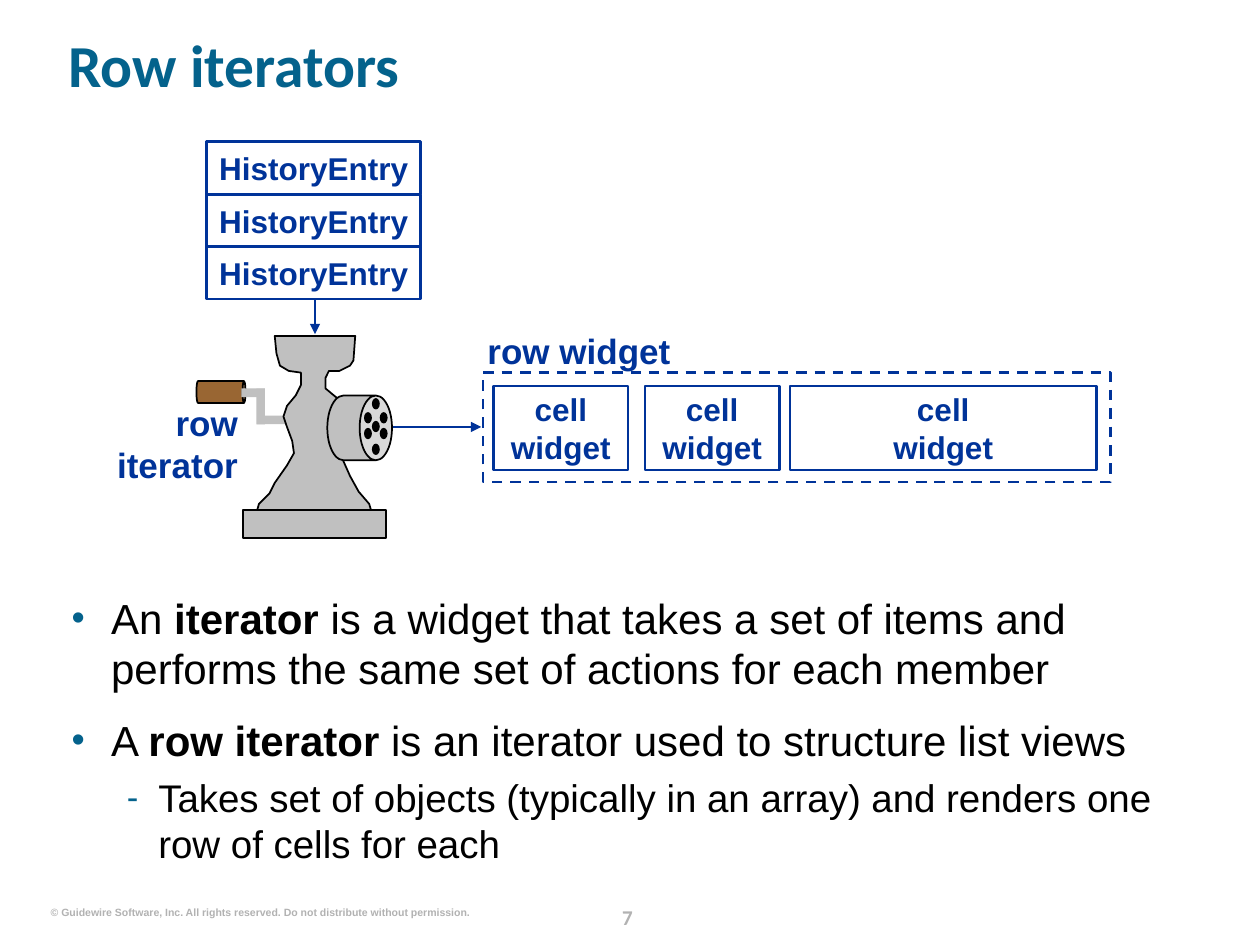
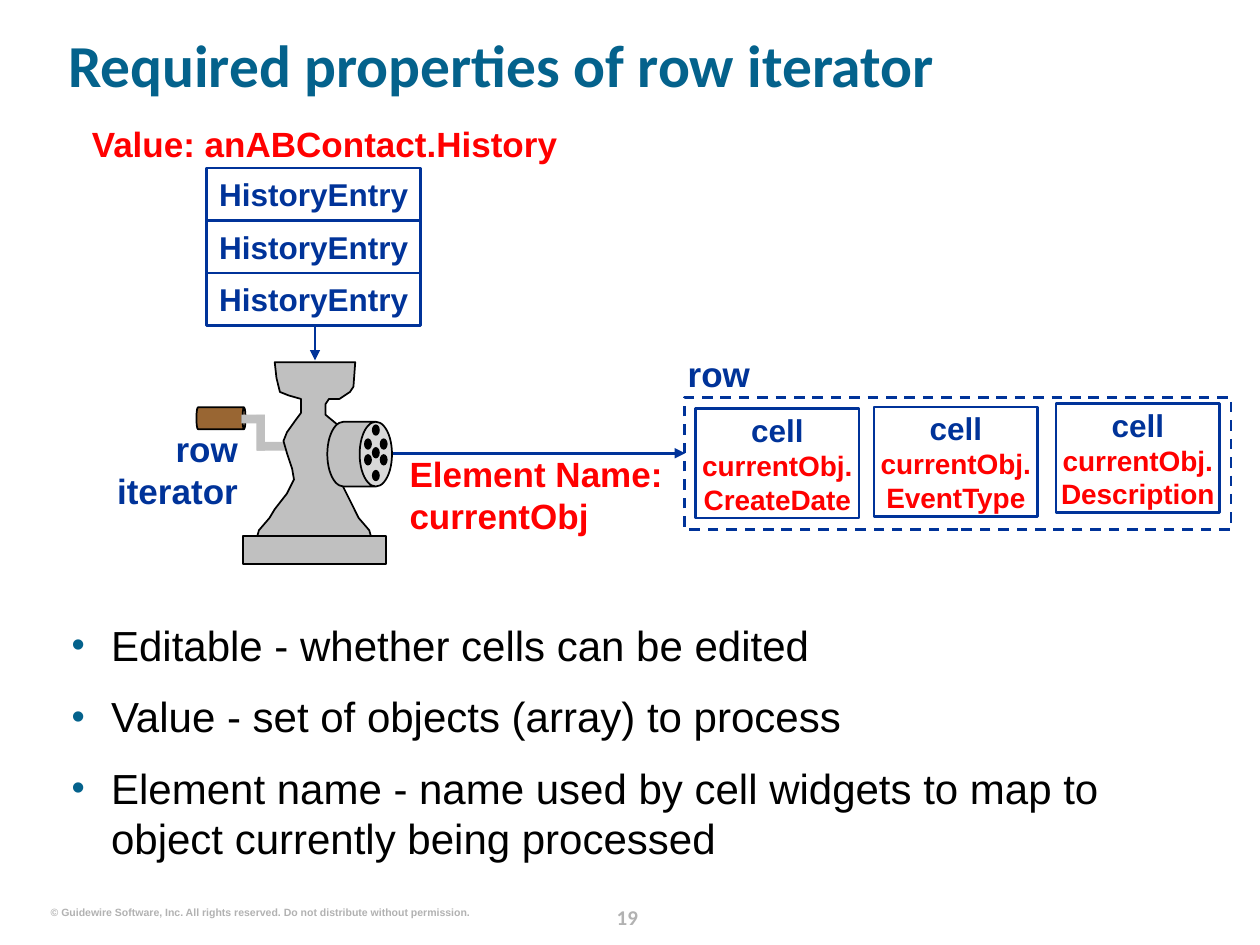
from copy import deepcopy
from itertools import product

from lxml.etree import SubElement
from pptx import Presentation
from pptx.dml.color import RGBColor
from pptx.enum.dml import MSO_LINE
from pptx.enum.shapes import MSO_CONNECTOR, MSO_SHAPE as Preset
from pptx.enum.text import MSO_ANCHOR as Anchor, PP_ALIGN as Align
from pptx.oxml.ns import qn
from pptx.util import Pt

TEAL = RGBColor(0x04, 0x62, 0x8C)
NAVY = RGBColor(0x00, 0x33, 0x99)
RED = RGBColor(0xFF, 0x00, 0x00)
BLACK = RGBColor(0x00, 0x00, 0x00)
WHITE = RGBColor(0xFF, 0xFF, 0xFF)
SILVER = RGBColor(0xC0, 0xC0, 0xC0)
GRAY = RGBColor(0xB2, 0xB2, 0xB2)
BROWN = RGBColor(0x99, 0x66, 0x33)


def style(size, color, bold=True, name="Arial"):
    return {"size": Pt(size), "bold": bold, "name": name, "color": color}


TITLE = style(34, TEAL, name="Calibri")
PAGE = style(12, GRAY, name="Calibri")
COPYRIGHT = style(6, GRAY)
LABEL = style(20, NAVY)
RED_LABEL = style(20, RED)
BOXED = style(18, NAVY)
FIELD = style(16, RED)

LEVELS = [
    {"char": "•", "size": 24, "margin": 22.5, "hang": 22.5, "before": 12},
    {"char": "-", "size": 22, "margin": 49.5, "hang": 18, "before": 5.5},
]

GRINDER_BODY = [
    (188.5, 212.5), (194.5, 212.5), (199.5, 209), (201.5, 206), (203, 192),
    (157, 192), (157.5, 201.5), (160, 209), (165, 211.5), (171.5, 213),
    (171.5, 220.5), (169, 225.5), (163.5, 232), (161.5, 237.5), (163.5, 244),
    (167, 252.5), (168, 259), (164, 266.5), (157, 276), (153.5, 281.5),
    (148.5, 288), (145.5, 295), (213, 295), (211, 288), (205, 281),
    (199.5, 271.5), (196, 263), (195, 255.5), (198.5, 249), (198.5, 239),
    (196, 231), (192, 227), (186.5, 222), (186.5, 216),
]


def apply(target, formats):
    for attribute, value in formats.items():
        setattr(target, attribute, value)


def write(paragraph, runs):
    for text, formats in runs:
        for number, line in enumerate(text.split("\n")):
            if number:
                paragraph.add_line_break()
            if not line:
                continue
            run = paragraph.add_run()
            run.text = line
            apply(run.font, {k: v for k, v in formats.items() if k != "color"})
            run.font.color.rgb = formats["color"]
    for line_break in paragraph._p.findall(qn("a:br")):
        line_break.append(deepcopy(line_break.getprevious().find(qn("a:rPr"))))


def prepare(frame, wrap=True, anchor=Anchor.TOP):
    apply(frame, {"margin_left": 0, "margin_right": 0, "margin_top": 0,
                  "margin_bottom": 0, "word_wrap": wrap,
                  "vertical_anchor": anchor})
    return frame


def label(slide, box, text, formats, align=Align.LEFT, spacing=None, **frame_options):
    frame = prepare(slide.shapes.add_textbox(*map(Pt, box)).text_frame, **frame_options)
    paragraph = frame.paragraphs[0]
    apply(paragraph, {"alignment": align, "line_spacing": spacing})
    write(paragraph, [(text, formats)])


def paint(shape, fill=None, line=None, width=1):
    shape.shadow.inherit = False
    if fill is None:
        shape.fill.background()
    else:
        shape.fill.solid()
        shape.fill.fore_color.rgb = fill
    if line is None:
        shape.line.fill.background()
    else:
        shape.line.color.rgb = line
        shape.line.width = Pt(width)
    return shape


def solid(shapes, preset, box, fill, line=None):
    return paint(shapes.add_shape(preset, *map(Pt, box)), fill, line)


def boxed(slide, box, runs):
    shape = paint(slide.shapes.add_shape(Preset.RECTANGLE, *map(Pt, box)), None, NAVY, 1.5)
    paragraph = prepare(shape.text_frame, False, Anchor.MIDDLE).paragraphs[0]
    paragraph.alignment = Align.CENTER
    write(paragraph, runs)


def dashed_row(slide, box):
    row = slide.shapes.add_shape(Preset.RECTANGLE, *map(Pt, box))
    paint(row, WHITE, NAVY, 1.5).line.dash_style = MSO_LINE.DASH


def arrow(slide, *ends):
    connector = slide.shapes.add_connector(MSO_CONNECTOR.STRAIGHT, *map(Pt, ends))
    connector.line.color.rgb = NAVY
    connector.line.width = Pt(1.5)
    SubElement(connector.line._get_or_add_ln(), qn("a:tailEnd"), type="triangle")
    SubElement(connector._element.spPr, qn("a:effectLst"))


def can(shapes, box, depth, fill):
    shape = solid(shapes, Preset.CAN, box, fill, BLACK)
    shape.rotation = 90
    shape.adjustments[0] = depth


def grinder(slide, drop):
    shapes = slide.shapes.add_group_shape().shapes
    can(shapes, (120, 210 + drop, 12.5, 28), 0.135, BROWN)
    for left, top, width, height in [(147, 237.5, 16, 5), (146.5, 222, 5, 20.5),
                                     (138, 222, 13.5, 5)]:
        solid(shapes, Preset.RECTANGLE, (left, top + drop, width, height), SILVER)
    outline = [(x, y + drop) for x, y in GRINDER_BODY]
    builder = shapes.build_freeform(*outline[0], scale=Pt(1))
    builder.add_line_segments(outline[1:], close=True)
    paint(builder.convert_to_shape(), SILVER, BLACK)
    can(shapes, (187, 226 + drop, 37, 37), 0.5, SILVER)
    solid(shapes, Preset.RECTANGLE, (139, 291.5 + drop, 81.5, 16), SILVER, BLACK)
    holes = [*product([212.5], [227.5, 240.5, 253.5]),
             *product([208, 217], [235.5, 244.5])]
    for left, top in holes:
        solid(shapes, Preset.OVAL, (left, top + drop, 4.5, 6.5), BLACK)


def iterator(slide, drop, row_left):
    for entry in range(3):
        boxed(slide, (118, 81 + drop + 30 * entry, 122.5, 30), [("HistoryEntry", BOXED)])
    label(slide, (48, 229.5 + drop, 88, 48), "row\niterator", LABEL, Align.RIGHT)
    arrow(slide, 221, 244 + drop, row_left, 244 + drop)
    grinder(slide, drop)
    arrow(slide, 180, 170.5 + drop, 180, 191 + drop)


def bullets(slide, box, items):
    frame = prepare(slide.shapes.add_textbox(*map(Pt, box)).text_frame)
    for number, (depth, parts) in enumerate(items):
        level = LEVELS[depth]
        paragraph = frame.add_paragraph() if number else frame.paragraphs[0]
        properties = paragraph._p.get_or_add_pPr()
        properties.set("marL", str(Pt(level["margin"])))
        properties.set("indent", str(-Pt(level["hang"])))
        SubElement(SubElement(properties, qn("a:buClr")), qn("a:srgbClr"), val=str(TEAL))
        SubElement(properties, qn("a:buSzPct"), val="90000")
        SubElement(properties, qn("a:buFont"), typeface="Arial")
        SubElement(properties, qn("a:buChar"), char=level["char"])
        paragraph.level = depth
        if number:
            paragraph.space_before = Pt(level["before"])
        write(paragraph, [(text, style(level["size"], BLACK, bold)) for text, bold in parts])


def new_slide(deck, title, page):
    slide = deck.slides.add_slide(deck.slide_layouts[6])
    label(slide, (338, 513.5, 41, 18), page, PAGE, Align.CENTER, Pt(18))
    label(slide, (28.5, 517.5, 240, 7.5),
          "© Guidewire Software, Inc. All rights reserved. Do not distribute without permission.",
          COPYRIGHT, Align.RIGHT, wrap=False)
    label(slide, (39, 9.5, 655, 58.5), title, TITLE, spacing=0.9, anchor=Anchor.MIDDLE)
    return slide


def row_iterators(deck):
    slide = new_slide(deck, "Row iterators", "7")
    bullets(slide, (41, 338.5, 655, 164), [
        (0, [("An ", False), ("iterator", True),
             (" is a widget that takes a set of items and performs"
              " the same set of actions for each member", False)]),
        (0, [("A ", False), ("row iterator", True),
             (" is an iterator used to structure list views", False)]),
        (1, [("Takes set of objects (typically in an array) and renders"
              " one row of cells for each", False)]),
    ])
    dashed_row(slide, (276, 213, 358.5, 62.5))
    label(slide, (278.5, 188, 147.5, 24), "row widget", LABEL)
    for left, width in [(282, 77), (368.5, 77), (451.5, 175)]:
        boxed(slide, (left, 220.5, width, 48), [("cell\nwidget", BOXED)])
    iterator(slide, 0, 275)


def required_properties(deck):
    slide = new_slide(deck, "Required properties of row iterator", "19")
    bullets(slide, (41, 354, 655, 149), [(0, [(text, False)]) for text in (
        "Editable - whether cells can be edited",
        "Value - set of objects (array) to process",
        "Element name - name used by cell widgets to map to object currently being processed",
    )])
    dashed_row(slide, (391, 227, 312.5, 75.5))
    label(slide, (393, 201.5, 147.5, 24), "row", LABEL)
    iterator(slide, 15, 391.5)
    label(slide, (234, 258.5, 147.5, 48), "Element Name:\ncurrentObj", RED_LABEL)
    label(slide, (52.5, 70, 296, 24), "Value: anABContact.History", RED_LABEL)
    for left, top, field in [(397.5, 233.5, "CreateDate"), (499.5, 232.5, "EventType"),
                             (603.5, 230.5, "Description")]:
        boxed(slide, (left, top, 93.5, 62.5),
              [("cell\n", BOXED), (f"currentObj.\n{field}", FIELD)])


def main():
    deck = Presentation()
    apply(deck, {"slide_width": Pt(720), "slide_height": Pt(540)})
    row_iterators(deck)
    required_properties(deck)
    deck.save("out.pptx")


if __name__ == "__main__":
    main()
